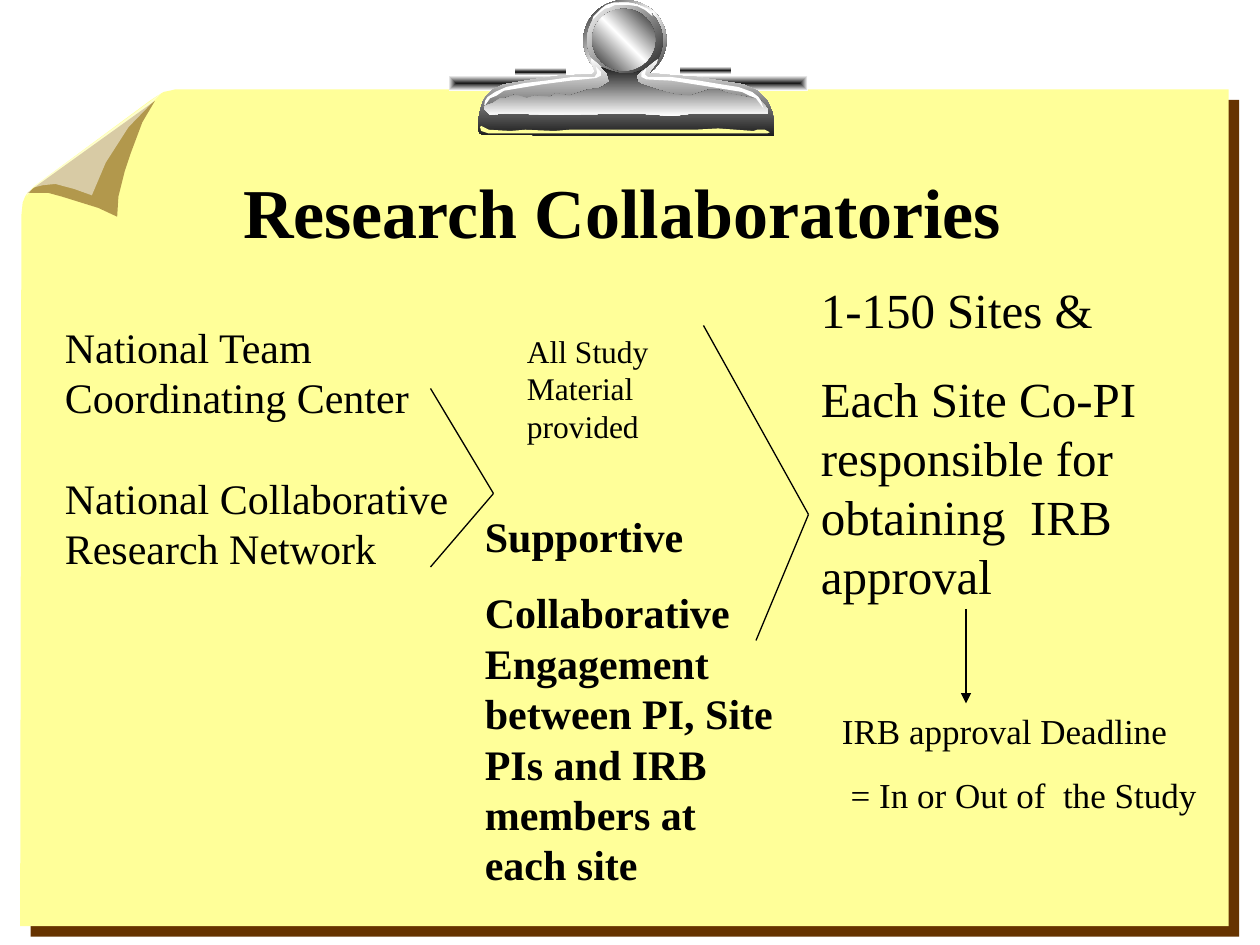
from dataclasses import dataclass

from pptx import Presentation
from pptx.dml.color import RGBColor
from pptx.enum.shapes import MSO_CONNECTOR, MSO_SHAPE
from pptx.enum.text import MSO_ANCHOR, PP_ALIGN
from pptx.oxml import parse_xml
from pptx.oxml.ns import nsdecls
from pptx.util import Emu, Inches, Pt

STRAIGHT = MSO_CONNECTOR.STRAIGHT
RECTANGLE, ELLIPSE = MSO_SHAPE.RECTANGLE, MSO_SHAPE.OVAL
TOP, LEFT, CENTER = MSO_ANCHOR.TOP, PP_ALIGN.LEFT, PP_ALIGN.CENTER

FONT = "Times New Roman"
COLORS = {"paper": "FFFF99", "shade": "663300", "light": "FFFFFF",
          "dark": "1C1C1C", "ink": "000000"}
DARK_LIGHT = ("dark", "light")
LIGHT_DARK = ("light", "dark")
SHINE = ("dark", "light", "dark")
SLOT = ("light", "dark", "light")

PAPER = [(135, 72), (139, 71), (975, 71), (975, 735), (16, 735), (17, 171), (18, 161),
         (20, 156), (22, 153), (27, 148), (119, 80), (125, 76), (130, 73)]
CURL_SHADE = [(49, 156), (78, 165), (93, 172), (94, 156), (99, 136), (104, 121),
              (113, 97), (123, 80), (27, 149), (22, 153), (38, 153)]
CURL_LIGHT = [(21, 156), (23, 151), (31, 145), (128, 74), (102, 101), (84, 129),
              (73, 155), (59, 150), (44, 146), (34, 147), (26, 149)]
KNOB_GLINT = [(518, 13), (517, 10), (514, 7), (510, 5), (505, 3), (499, 2), (487, 2),
              (481, 4), (477, 7), (471, 13), (470, 16), (475, 11), (480, 7), (484, 6),
              (488, 4), (499, 4), (506, 5), (512, 8)]
CLIP_BODY = [(381, 106), (384, 107), (614, 108), (614, 95), (613, 89), (609, 80),
             (601, 72), (590, 67), (577, 65), (552, 61), (536, 60), (515, 58),
             (521, 50), (522, 47), (517, 51), (511, 56), (503, 59), (494, 59),
             (485, 58), (478, 54), (469, 46), (470, 51), (472, 57), (470, 59),
             (445, 60), (424, 63), (400, 67), (391, 71), (386, 76), (383, 81),
             (381, 88), (379, 98), (379, 102)]
LEFT_GLINT = [(384, 85), (385, 80), (387, 77), (393, 73), (402, 69), (416, 66),
              (433, 64), (455, 61), (472, 61), (474, 58), (473, 53), (477, 57),
              (477, 60), (473, 62), (453, 64), (430, 67), (400, 72), (394, 76),
              (389, 78)]
RIGHT_GLINT = [(606, 86), (604, 80), (602, 77), (597, 73), (586, 69), (573, 67),
               (555, 64), (532, 61), (514, 61), (512, 59), (513, 54), (509, 58),
               (509, 61), (513, 63), (533, 64), (558, 68), (589, 73), (595, 76),
               (600, 78), (603, 82)]
LIP = [(382, 100), (381, 101), (382, 104), (388, 106), (609, 106), (611, 105),
       (607, 103), (601, 103), (598, 104), (570, 102), (551, 103), (452, 103),
       (440, 104), (417, 103), (405, 104), (388, 103)]
REFLECTION = [(401, 78), (397, 78), (391, 82), (385, 84), (384, 86), (389, 91),
              (401, 90), (440, 91), (506, 90), (534, 92), (550, 90), (610, 90),
              (609, 86), (604, 80), (600, 78), (597, 78), (578, 74), (570, 71),
              (563, 71), (548, 76), (536, 75), (521, 71), (509, 67), (506, 65),
              (505, 60), (509, 56), (503, 58), (491, 58), (484, 56), (477, 53),
              (482, 58), (484, 65), (476, 70), (467, 71), (452, 76), (441, 74),
              (437, 77), (424, 76), (418, 78), (409, 75)]


@dataclass
class Grid:
    left: int
    top: int
    width: int
    height: int
    columns: int
    rows: int

    def place(self, column, row):
        return (Emu(round(self.left + self.width * column / self.columns)),
                Emu(round(self.top + self.height * row / self.rows)))

    def frame(self, column, row, columns, rows):
        left, top = self.place(column, row)
        right, bottom = self.place(column + columns, row + rows)
        return left, top, right - left, bottom - top


def color_xml(name, opacity=100):
    return (f'<a:srgbClr val="{COLORS[name]}">'
            f'<a:alpha val="{opacity * 1000}"/></a:srgbClr>')


def paint(shape, names, angle=None, opacity=100):
    """Fill with one colour, or with a linear (angle given) or inward gradient."""
    if len(names) == 1:
        tag, body = "solidFill", color_xml(names[0], opacity)
    else:
        step = 100000 // (len(names) - 1)
        stops = "".join(f'<a:gs pos="{index * step}">{color_xml(name)}</a:gs>'
                        for index, name in enumerate(names))
        if angle is None:
            course = ('<a:path path="rect"><a:fillToRect l="50000" t="50000" '
                      'r="50000" b="50000"/></a:path>')
        else:
            course = f'<a:lin ang="{angle * 60000}" scaled="0"/>'
        tag, body = "gradFill", f"<a:gsLst>{stops}</a:gsLst>{course}"
    fill = parse_xml(f"<a:{tag} {nsdecls('a')}>{body}</a:{tag}>")
    shape._element.spPr.insert(2, fill)
    shape.line.fill.background()
    shape.shadow.inherit = False


def draw_outline(page, grid, points, *names, **style):
    builder = page.shapes.build_freeform(*points[0], scale=grid.width / grid.columns)
    builder.add_line_segments(points[1:], close=True)
    shape = builder.convert_to_shape(grid.left, grid.top)
    paint(shape, names, **style)
    return shape


def draw_preset(page, grid, kind, cells, names, angle):
    shape = page.shapes.add_shape(kind, *grid.frame(*cells))
    paint(shape, names, angle)


def draw_paper(page, grid):
    sheet = draw_outline(page, grid, PAPER, "paper")
    sheet._element.spPr[-1].append(parse_xml(
        f'<a:outerShdw {nsdecls("a")} dist="{Pt(8.5)}" dir="2700000" algn="ctr" '
        f'rotWithShape="0">{color_xml("shade")}</a:outerShdw>'))
    draw_outline(page, grid, CURL_SHADE, "shade", opacity=50)
    draw_outline(page, grid, CURL_LIGHT, "light", opacity=50)


def draw_clip(page, grid):
    for kind, cells, names, angle in (
            (RECTANGLE, (356, 60, 285, 12), DARK_LIGHT, None),
            (RECTANGLE, (409, 54, 40, 6), SLOT, 90),
            (RECTANGLE, (540, 53, 40, 6), SLOT, 90),
            (ELLIPSE, (463, 0, 66, 64), SHINE, 225),
            (ELLIPSE, (466, 2, 60, 60), DARK_LIGHT, 225)):
        draw_preset(page, grid, kind, cells, names, angle)
    draw_outline(page, grid, KNOB_GLINT, "light")
    draw_preset(page, grid, ELLIPSE, (470, 7, 50, 49), SHINE, 135)
    draw_outline(page, grid, CLIP_BODY, *LIGHT_DARK, angle=90)
    draw_outline(page, grid, LEFT_GLINT, "light")
    draw_outline(page, grid, LIP, "paper")
    draw_outline(page, grid, REFLECTION, *DARK_LIGHT, angle=90)
    draw_outline(page, grid, RIGHT_GLINT, "light")


def write(page, grid, cells, lines, size, gaps=(), bold=False, align=LEFT, inset=0.05):
    """Add a text box; gaps are the points of space before each later paragraph."""
    box = page.shapes.add_textbox(*grid.frame(*cells))
    frame = box.text_frame
    layout = {"word_wrap": True, "vertical_anchor": TOP, "margin_top": Inches(inset)}
    for name, value in layout.items():
        setattr(frame, name, value)
    frame.text = "\n".join(lines)
    look = {"name": FONT, "size": Pt(size), "bold": bold}
    for para in frame.paragraphs:
        para.alignment = align
        for span in para.runs:
            for name, value in look.items():
                setattr(span.font, name, value)
            span.font.color.rgb = RGBColor.from_string(COLORS["ink"])
    for para, gap in zip(frame.paragraphs[1:], gaps):
        para.space_before = Pt(gap)


def draw_texts(page, grid):
    write(page, grid, (6.25, 16, 106, 15), ["Research Collaboratories"], 40,
          bold=True, align=CENTER, inset=0)
    write(page, grid, (5, 30, 40, 25.2),
          ["National Team", "Coordinating Center", "National Collaborative",
           "Research Network"], 24, gaps=(0, 28.8, 0))
    write(page, grid, (49, 31, 21, 12), ["All Study Material provided"], 18)
    write(page, grid, (45, 48, 31, 37.3),
          ["Supportive", "Collaborative Engagement between PI, Site PIs and IRB "
           "members at each site"], 24, gaps=(15,), bold=True)
    write(page, grid, (77, 26, 38, 32.2),
          ["1-150 Sites &", "Each Site Co-PI responsible for obtaining  IRB approval"],
          28, gaps=(17.5,))
    write(page, grid, (79, 67, 41, 11.3),
          ["IRB approval Deadline", " = In or Out of  the Study"], 20, gaps=(12.5,))


def draw_line(page, grid, start, end, arrow=False):
    line = page.shapes.add_connector(STRAIGHT, *grid.place(*start), *grid.place(*end))
    line.line.width = Pt(0.75)
    line.line.color.rgb = RGBColor.from_string(COLORS["ink"])
    if arrow:
        line.line._ln.append(parse_xml(f'<a:tailEnd {nsdecls("a")} type="triangle"/>'))
    line._element.spPr.append(parse_xml(f"<a:effectLst {nsdecls('a')}/>"))


def draw_flow(page, grid):
    for upper, tip, lower in (((67, 31), (77, 49), (72, 61)),
                              ((41, 37), (47, 47), (41, 54))):
        draw_line(page, grid, upper, tip)
        draw_line(page, grid, lower, tip)
    draw_line(page, grid, (92, 58), (92, 67), arrow=True)


def main():
    deck = Presentation()
    deck.slide_width, deck.slide_height = Inches(10), Inches(7.5)
    page = deck.slides.add_slide(deck.slide_layouts[6])
    size = (0, 0, deck.slide_width, deck.slide_height)
    fine, coarse = Grid(*size, 1000, 750), Grid(*size, 120, 90)
    draw_paper(page, fine)
    draw_clip(page, fine)
    draw_texts(page, coarse)
    draw_flow(page, coarse)
    deck.save("out.pptx")


if __name__ == "__main__":
    main()
